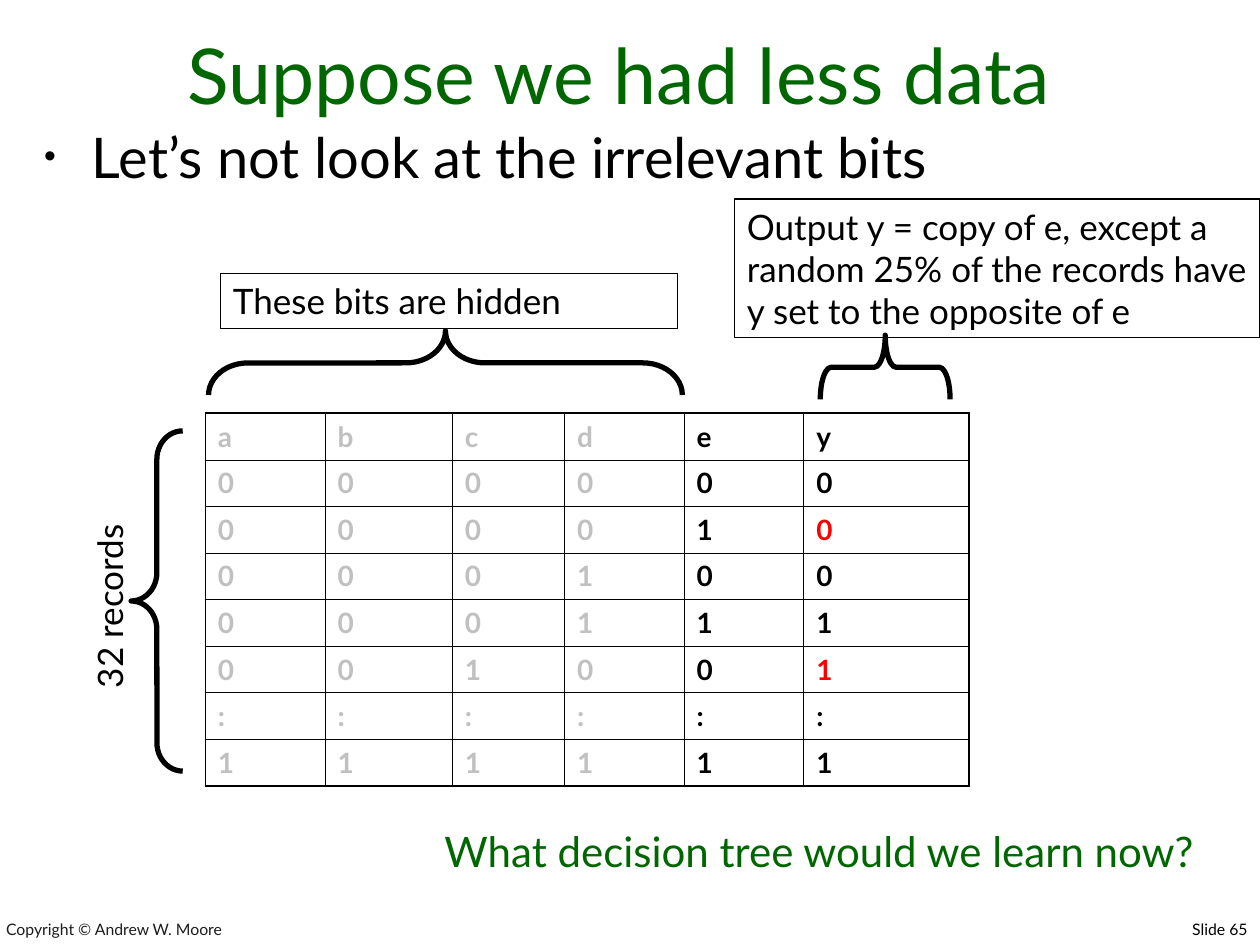
from pptx import Presentation
from pptx.dml.color import RGBColor
from pptx.enum.shapes import MSO_SHAPE
from pptx.enum.text import MSO_ANCHOR, MSO_AUTO_SIZE, PP_ALIGN
from pptx.oxml import parse_xml
from pptx.oxml.ns import nsdecls
from pptx.util import Inches, Pt

FONT = "Lato"
BLACK, GREEN, GREY, RED = "000000", "006600", "C0C0C0", "FF0000"

TITLE = "Suppose we had less data"
BULLET = "Let’s not look at the irrelevant bits"
RECORDS = ["abcdey", "000000", "000010", "000100", "000111", "001001", "::::::", "111111"]
FLIPPED = [(2, 5), (5, 5)]
HIDDEN_COLS = 4
COL_WIDTHS = [0.95, 1.01, 0.89, 0.95, 0.95, 1.31]
ROW_HEIGHT = 0.37

CALLOUTS = [
    ("These bits are hidden", (1.75, 2.17, 3.63, 0.44)),
    ("Output y = copy of e, except a random 25% of the records have y set to the opposite of e",
     (5.83, 1.58, 4.17, 1.1)),
]
BRACES = [
    ((3.28, 1, 0.51, 3.76), 90),
    ((6.77, 2.4, 0.51, 1.03), 90),
    ((1.04, 3.42, 0.41, 2.7), 0),
]
LABELS = [
    dict(text="32 records", box=(0.06, 4.53, 1.62, 0.44), size=20, rotation=270),
    dict(text="What decision tree would we learn now?", box=(3.25, 6.5, 6.5, 0.5), size=24,
         color=GREEN, align=PP_ALIGN.CENTER, before=15),
    dict(text="Copyright © Andrew W. Moore", box=(-0.05, 7.22, 5.55, 0.28), size=9,
         color="1C1C1C", anchor=MSO_ANCHOR.BOTTOM),
    dict(text="Slide 65", box=(6.08, 7.25, 3.92, 0.27), size=9, align=PP_ALIGN.RIGHT, before=5.6),
]


def rgb(value):
    return RGBColor.from_string(value)


def inches(box):
    return [Inches(v) for v in box]


def place(sp, box):
    sp.left, sp.top, sp.width, sp.height = inches(box)


def write(tf, text, size, color=BLACK, align=PP_ALIGN.LEFT, before=0, bold=False,
          anchor=MSO_ANCHOR.TOP):
    tf.word_wrap = True
    tf.auto_size = MSO_AUTO_SIZE.NONE
    tf.vertical_anchor = anchor
    return write_paragraph(tf, text, size, color, align, before, bold)


def write_paragraph(tf, text, size, color, align=PP_ALIGN.LEFT, before=0, bold=False):
    p = tf.paragraphs[0]
    p.text = text
    p.alignment = align
    p.space_before = Pt(before)
    p.font.name, p.font.size, p.font.bold = FONT, Pt(size), bold
    p.font.color.rgb = rgb(color)
    return p


def add_bullet(p):
    pPr = p._p.get_or_add_pPr()
    pPr.set("marL", str(Inches(0.38)))
    pPr.set("indent", str(-Inches(0.38)))
    marks = [f'<a:buClr {nsdecls("a")}><a:srgbClr val="{BLACK}"/></a:buClr>',
             f'<a:buSzPct {nsdecls("a")} val="60000"/>',
             f'<a:buChar {nsdecls("a")} char="•"/>']
    at = list(pPr).index(pPr.find("{*}spcBef")) + 1
    for i, mark in enumerate(marks):
        pPr.insert(at + i, parse_xml(mark))


def set_borders(cell, outer_sides):
    tcPr = cell._tc.get_or_add_tcPr()
    for i, side in enumerate("LRTB"):
        width = Pt(1.08 if side in outer_sides else 0.45)
        tcPr.insert(i, parse_xml(
            f'<a:ln{side} {nsdecls("a")} w="{width}"><a:solidFill>'
            f'<a:srgbClr val="{BLACK}"/></a:solidFill></a:ln{side}>'))


def add_records(s):
    rows, cols = len(RECORDS), len(COL_WIDTHS)
    box = inches((1.63, 3.28, sum(COL_WIDTHS), rows * ROW_HEIGHT))
    table = s.shapes.add_table(rows, cols, *box).table
    table.first_row = table.horz_banding = False
    for column, width in zip(table.columns, COL_WIDTHS):
        column.width = Inches(width)
    for r, record in enumerate(RECORDS):
        table.rows[r].height = Inches(ROW_HEIGHT)
        for c, value in enumerate(record):
            cell = table.cell(r, c)
            cell.fill.background()
            color = GREY if c < HIDDEN_COLS else RED if (r, c) in FLIPPED else BLACK
            write_paragraph(cell.text_frame, value, 16, color, before=4, bold=True)
            edges = {"L": c == 0, "R": c == cols - 1, "T": r == 0, "B": r == rows - 1}
            set_borders(cell, [side for side, outer in edges.items() if outer])


def add_outline(s, shape, box, width):
    sp = s.shapes.add_shape(shape, *inches(box))
    sp.shadow.inherit = False
    sp.fill.background()
    sp.line.color.rgb = rgb(BLACK)
    sp.line.width = Pt(width)
    return sp


def add_brace(s, box, rotation):
    sp = add_outline(s, MSO_SHAPE.LEFT_BRACE, box, 3)
    sp.adjustments[0] = box[3] / 12 / box[2]
    sp.rotation = rotation


def add_label(s, text, box, size, rotation=0, **style):
    sp = s.shapes.add_textbox(*inches(box))
    sp.rotation = rotation
    write(sp.text_frame, text, size, **style)


def main():
    prs = Presentation()
    prs.slide_width, prs.slide_height = Inches(10), Inches(7.5)
    s = prs.slides.add_slide(prs.slide_layouts[1])

    title, body = s.shapes.title, s.placeholders[1]
    place(title, (0.25, 0.25, 9.33, 0.75))
    write(title.text_frame, TITLE, 44, GREEN, PP_ALIGN.CENTER, anchor=MSO_ANCHOR.BOTTOM)
    place(body, (0.25, 0.92, 9.38, 6.17))
    add_bullet(write(body.text_frame, BULLET, 32, before=8))

    add_records(s)
    for text, box in CALLOUTS:
        write(add_outline(s, MSO_SHAPE.RECTANGLE, box, 0.75).text_frame, text, 20)
    for box, rotation in BRACES:
        add_brace(s, box, rotation)
    for label in LABELS:
        add_label(s, **label)
    prs.save("out.pptx")


if __name__ == "__main__":
    main()
